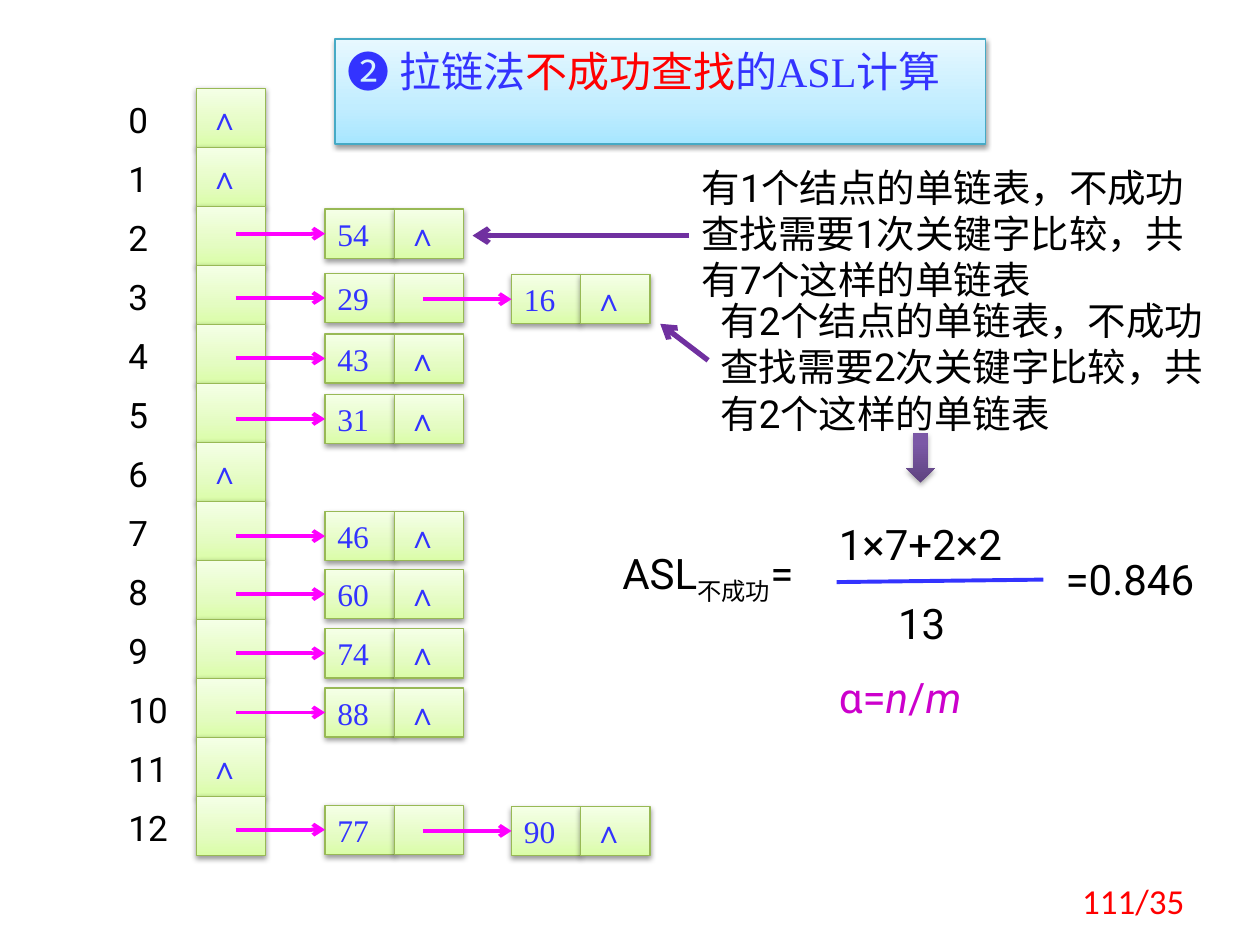
from copy import deepcopy

from lxml import etree
from pptx import Presentation
from pptx.dml.color import RGBColor
from pptx.enum.shapes import MSO_CONNECTOR, MSO_SHAPE
from pptx.enum.text import MSO_ANCHOR, MSO_AUTO_SIZE, PP_ALIGN
from pptx.oxml.ns import qn
from pptx.util import Inches, Pt

RECTANGLE, DOWN_ARROW = MSO_SHAPE.RECTANGLE, MSO_SHAPE.DOWN_ARROW
STRAIGHT = MSO_CONNECTOR.STRAIGHT
TOP, MIDDLE = MSO_ANCHOR.TOP, MSO_ANCHOR.MIDDLE
GROW = MSO_AUTO_SIZE.SHAPE_TO_FIT_TEXT
LEFT, RIGHT = PP_ALIGN.LEFT, PP_ALIGN.RIGHT

SERIF, SANS, CALIBRI = "Times New Roman", "Roboto", "Calibri"
BLUE, RED, MAGENTA, PURPLE = "3333FF", "FF0000", "FF00FF", "7030A0"
GREEN_STOPS = ((0, "DAFDA7"), (0.35, "E4FCC2"), (1, "F5FFE7"))
SKY_STOPS = ((0, "A7E6FF"), (0.35, "C1EDFF"), (1, "E7F8FF"))
VIOLET_STOPS = ((0, "5F4480"), (0.8, "7B58A6"), (1, "7C57A8"))

SLOT_COUNT, SLOT_LEFT, SLOT_TOP, SLOT_HEIGHT = 13, 1.56, 0.7, 0.47
SLOT_STEP = 5.62 / (SLOT_COUNT - 1)
CELL_WIDTH, NODE_HEIGHT = 0.55, 0.39
NODE_LEFTS, LINK_STARTS = (2.58, 4.06), (1.87, 3.36)
NIL = "∧"
CHAINS = {
    2: (1.66, ["54"]), 3: (2.17, ["29", "16"]), 4: (2.65, ["43"]),
    5: (3.13, ["31"]), 7: (4.06, ["46"]), 8: (4.52, ["60"]),
    9: (4.99, ["74"]), 10: (5.46, ["88"]), 12: (6.39, ["77", "90"]),
}
NOTES = (
    ((5.47, 1.25, 4.06, 1.21),
     "有1个结点的单链表，不成功查找需要1次关键字比较，共有7个这样的单链表"),
    ((5.62, 2.31, 4.06, 1.21),
     "有2个结点的单链表，不成功查找需要2次关键字比较，共有2个这样的单链表"),
)
FORMULA_PARTS = (
    ((8.36, 4.34, 1.33, 0.5), "=0.846"),
    ((6.56, 4.07, 2.03, 0.5), "1×7+2×2"),
    ((7.03, 4.69, 0.78, 0.5), "13"),
)


def rgb(value):
    """Turn a hex string into a colour."""
    return RGBColor.from_string(value)


def write(shape, text, size=24, font=SANS, color="000000", italic=False,
          baseline=0, align=LEFT):
    """Append a formatted run to the first paragraph of a shape."""
    paragraph = shape.text_frame.paragraphs[0]
    paragraph.alignment = align
    run = paragraph.add_run()
    run.text = text
    run.font.size = Pt(size)
    run.font.name = font
    run.font.color.rgb = rgb(color)
    run.font.italic = italic
    if baseline:
        run.font._element.set("baseline", str(baseline * 1000))


class HashSlide:
    """Hold the deck style and the current slide."""

    def __init__(self, deck):
        """Start a title-only slide."""
        self.slide = deck.slides.add_slide(deck.slide_layouts[5])
        self.shapes = self.slide.shapes

    def decorate(self, shape, stops, outline=None, opacity=38):
        """Apply an upward gradient, an outline and a soft shadow."""
        shape.fill.gradient()
        shape.fill.gradient_angle = 90
        stop_list = shape._element.spPr.find(".//" + qn("a:gsLst"))
        stop_list.append(deepcopy(stop_list[-1]))
        for stop, (position, color) in zip(shape.fill.gradient_stops, stops):
            stop.position = position
            stop.color.rgb = rgb(color)
        if outline:
            shape.line.color.rgb = rgb(outline)
            shape.line.width = Pt(0.75)
        else:
            shape.line.fill.background()
        shape.shadow.inherit = False
        effects = shape._element.spPr.find(qn("a:effectLst"))
        shadow = etree.SubElement(
            effects, qn("a:outerShdw"), blurRad=str(Pt(3.1)),
            dist=str(Pt(1.6)), dir="5400000", rotWithShape="0")
        tint = etree.SubElement(shadow, qn("a:srgbClr"), val="000000")
        etree.SubElement(tint, qn("a:alpha"), val=str(opacity * 1000))

    def title(self, at):
        """Move and format the title placeholder."""
        title = self.shapes.title
        title.left, title.top, title.width, title.height = map(Inches, at)
        self.decorate(title, SKY_STOPS, "46AAC5")
        title.text_frame.vertical_anchor = TOP
        title.text_frame.auto_size = GROW
        return title

    def cell(self, left, top, height, text=""):
        """Draw one cell of the table or of a node."""
        cell = self.shapes.add_shape(
            RECTANGLE, *map(Inches, (left, top, CELL_WIDTH, height)))
        self.decorate(cell, GREEN_STOPS, "98B955")
        cell.text_frame.vertical_anchor = MIDDLE
        if text:
            write(cell, text, size=18, font=SERIF, color=BLUE)

    def text(self, at, text, inset=True, anchor=TOP, **style):
        """Add a wrapping text box."""
        box = self.shapes.add_textbox(*map(Inches, at))
        frame = box.text_frame
        frame.word_wrap = True
        frame.vertical_anchor = anchor
        frame.auto_size = GROW
        if not inset:
            frame.margin_left = frame.margin_right = 0
            frame.margin_top = frame.margin_bottom = 0
        write(box, text, **style)
        return box

    def line(self, start, end, color, width=2.25, arrow=True):
        """Draw a straight line, with an arrowhead if wanted."""
        line = self.shapes.add_connector(STRAIGHT, *map(Inches, start + end))
        line.line.color.rgb = rgb(color)
        line.line.width = Pt(width)
        properties = line._element.spPr
        if arrow:
            etree.SubElement(properties.find(qn("a:ln")), qn("a:tailEnd"), type="arrow")
        etree.SubElement(properties, qn("a:effectLst"))

    def block_arrow(self, at):
        """Draw the block arrow that leads to the formula."""
        arrow = self.shapes.add_shape(DOWN_ARROW, *map(Inches, at))
        self.decorate(arrow, VIOLET_STOPS, opacity=35)

    def chain(self, top, keys):
        """Draw the linked nodes of one slot."""
        for place, key in enumerate(keys):
            left, node_top = NODE_LEFTS[place], top + 0.01 * place
            following = "" if place < len(keys) - 1 else NIL
            self.cell(left, node_top, NODE_HEIGHT, key)
            self.cell(left + CELL_WIDTH, node_top, NODE_HEIGHT, following)
            middle = node_top + NODE_HEIGHT / 2
            self.line((LINK_STARTS[place], middle), (left, middle), MAGENTA)


def main():
    """Build the slide on unsuccessful search with chaining."""
    deck = Presentation()
    deck.slide_width, deck.slide_height = Inches(10), Inches(7.5)
    page = HashSlide(deck)

    heading = page.title((2.66, 0.31, 5.16, 0.5))
    write(heading, "❷ 拉链法", font=CALIBRI, color=BLUE)
    write(heading, "不成功查找", font=SERIF, color=RED)
    write(heading, "的ASL计算", font=SERIF, color=BLUE)

    for slot in range(SLOT_COUNT):
        top = SLOT_TOP + slot * SLOT_STEP
        page.cell(SLOT_LEFT, top, SLOT_HEIGHT, "" if slot in CHAINS else NIL)
        page.text((1.02, top + 0.08, 0.47, 0.34), str(slot), inset=False, size=20)
    for top, keys in CHAINS.values():
        page.chain(top, keys)

    for at, note in NOTES:
        page.text(at, note, size=22)
    page.line((5.47, 1.87), (3.75, 1.87), PURPLE, width=3)
    page.line((5.62, 2.86), (5.24, 2.57), PURPLE, width=3)
    page.block_arrow((7.19, 3.44, 0.23, 0.39))

    average = page.text((4.84, 4.3, 1.88, 0.5), "ASL")
    write(average, "不成功", baseline=-25)
    write(average, "=")
    for at, part in FORMULA_PARTS:
        page.text(at, part)
    page.line((6.64, 4.62), (8.28, 4.6), BLUE, arrow=False)

    load_factor = page.text((6.56, 5.28, 1.56, 0.5), "α=", color="CC00CC")
    for symbol, italic in (("n", True), ("/", False), ("m", True)):
        write(load_factor, symbol, color="CC00CC", italic=italic)

    page.text((7.17, 6.95, 2.33, 0.4), "111/35", anchor=MIDDLE, size=20,
              font=CALIBRI, color=RED, align=RIGHT)
    deck.save("out.pptx")


if __name__ == "__main__":
    main()
